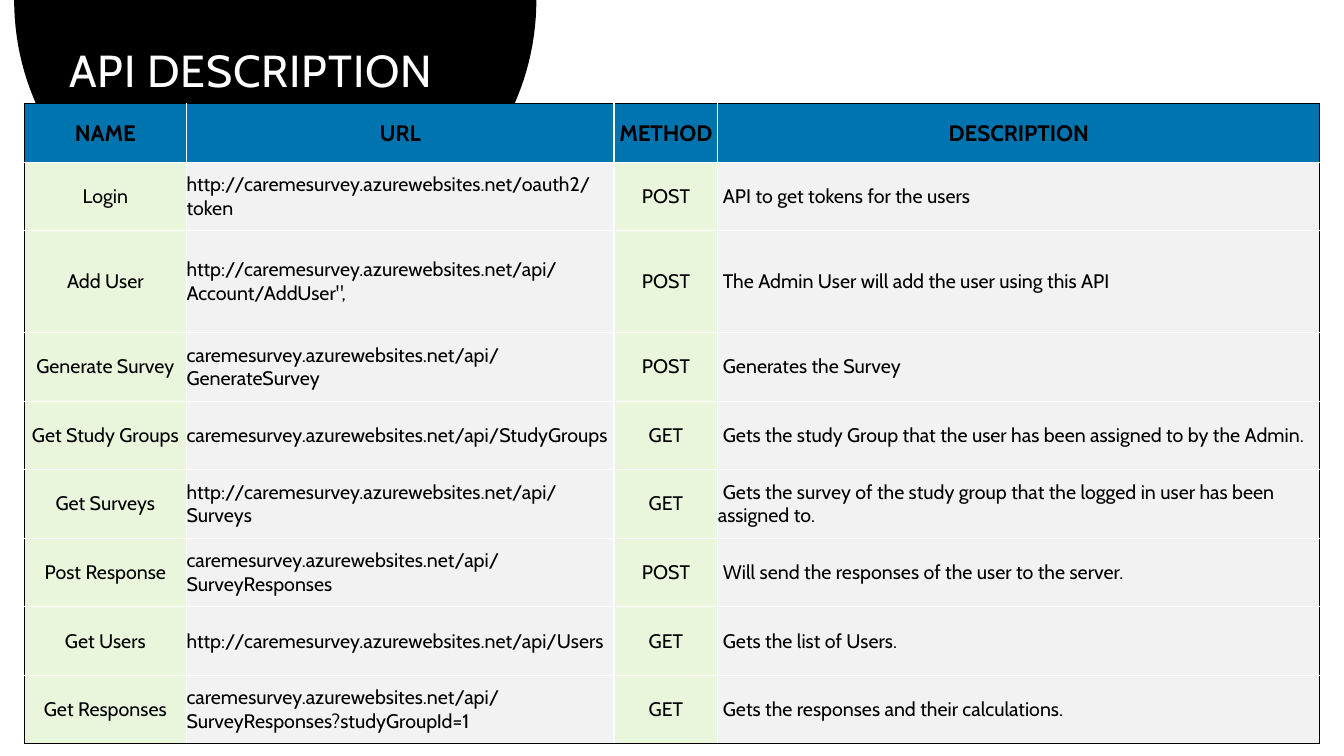
"""Build the API description slide with its endpoint table."""
from dataclasses import dataclass
from math import cos, pi, sin

from lxml.etree import SubElement
from pptx import Presentation
from pptx.dml.color import RGBColor
from pptx.enum.text import MSO_ANCHOR, PP_ALIGN
from pptx.oxml.ns import qn
from pptx.slide import Slide
from pptx.table import _Cell
from pptx.util import Inches, Pt


@dataclass(frozen=True)
class Theme:
    font: str = "Cabin"
    black: str = "000000"
    white: str = "FFFFFF"
    header: str = "0074AF"
    green: str = "E9F6DC"
    grey: str = "F2F2F2"
    title_size: int = 32
    header_size: int = 16
    body_size: int = 14
    border: int = 1


@dataclass(frozen=True)
class Endpoint:
    name: str
    url: str
    method: str
    description: str
    height: float = 0.68


@dataclass(frozen=True)
class Column:
    heading: str
    field: str
    width: float
    fill: str
    align: PP_ALIGN
    indent: float = 0


THEME = Theme()
HEADER_HEIGHT = 0.58
COLUMNS = [
    Column("NAME", "name", 1.61, THEME.green, PP_ALIGN.CENTER),
    Column("URL", "url", 4.24, THEME.grey, PP_ALIGN.LEFT),
    Column("METHOD", "method", 1.03, THEME.green, PP_ALIGN.CENTER),
    Column("DESCRIPTION", "description", 5.97, THEME.grey, PP_ALIGN.LEFT, 0.05),
]
ENDPOINTS = [
    Endpoint("Login", "http://caremesurvey.azurewebsites.net/oauth2/token", "POST",
             "API to get tokens for the users"),
    Endpoint("Add User", 'http://caremesurvey.azurewebsites.net/api/Account/AddUser",', "POST",
             "The Admin User will add the user using this API", 1.01),
    Endpoint("Generate Survey", "caremesurvey.azurewebsites.net/api/GenerateSurvey", "POST",
             "Generates the Survey"),
    Endpoint("Get Study Groups", "caremesurvey.azurewebsites.net/api/StudyGroups", "GET",
             "Gets the study Group that the user has been assigned to by the Admin."),
    Endpoint("Get Surveys", "http://caremesurvey.azurewebsites.net/api/Surveys", "GET",
             "Gets the survey of the study group that the logged in user has been assigned to."),
    Endpoint("Post Response", "caremesurvey.azurewebsites.net/api/SurveyResponses", "POST",
             "Will send the responses of the user to the server."),
    Endpoint("Get Users", "http://caremesurvey.azurewebsites.net/api/Users", "GET",
             "Gets the list of Users."),
    Endpoint("Get Responses",
             "caremesurvey.azurewebsites.net/api/SurveyResponses?studyGroupId=1", "GET",
             "Gets the responses and their calculations."),
]


def rgb(color: str) -> RGBColor:
    return RGBColor.from_string(color)


def add_half_disc(slide: Slide, center: float, rx: float, ry: float, steps: int = 90) -> None:
    points = [(Inches(center + rx * cos(pi * i / steps)), Inches(ry * sin(pi * i / steps)))
              for i in range(steps + 1)]
    builder = slide.shapes.build_freeform(*points[0])
    builder.add_line_segments(points[1:], close=True)
    sp = builder.convert_to_shape()
    sp.shadow.inherit = False
    sp.fill.solid()
    sp.fill.fore_color.rgb = rgb(THEME.black)
    sp.line.fill.background()


def set_borders(cell: _Cell, outer: dict[str, bool]) -> None:
    tc_pr = cell._tc.get_or_add_tcPr()
    for side, is_outer in outer.items():
        ln = SubElement(tc_pr, qn(f"a:ln{side}"), w=str(Pt(THEME.border)))
        fill = SubElement(ln, qn("a:solidFill"))
        SubElement(fill, qn("a:srgbClr"), val=THEME.black if is_outer else THEME.white)


def fill_cell(cell: _Cell, text: str, fill: str, align: PP_ALIGN, size: int,
              bold: bool, indent: float) -> None:
    cell.fill.solid()
    cell.fill.fore_color.rgb = rgb(fill)
    cell.margin_left = cell.margin_right = cell.margin_top = cell.margin_bottom = 0
    cell.vertical_anchor = MSO_ANCHOR.MIDDLE
    cell.text = text
    p = cell.text_frame.paragraphs[0]
    p.alignment = align
    if indent:
        p._p.get_or_add_pPr().set("indent", str(Inches(indent)))
    p.font.name, p.font.size, p.font.bold = THEME.font, Pt(size), bold
    p.font.color.rgb = rgb(THEME.black)


def add_endpoint_table(slide: Slide, left: float, top: float) -> None:
    heights = [HEADER_HEIGHT] + [e.height for e in ENDPOINTS]
    widths = [c.width for c in COLUMNS]
    table = slide.shapes.add_table(len(heights), len(widths), Inches(left), Inches(top),
                                   Inches(sum(widths)), Inches(sum(heights))).table
    table.first_row = table.horz_banding = False
    for col, width in zip(table.columns, widths):
        col.width = Inches(width)
    for i, height in enumerate(heights):
        table.rows[i].height = Inches(height)
        for j, column in enumerate(COLUMNS):
            cell = table.cell(i, j)
            set_borders(cell, {"L": j == 0, "R": j == len(widths) - 1,
                               "T": i == 0, "B": i == len(heights) - 1})
            if i == 0:
                fill_cell(cell, column.heading, THEME.header, PP_ALIGN.CENTER,
                          THEME.header_size, True, 0)
            else:
                fill_cell(cell, getattr(ENDPOINTS[i - 1], column.field), column.fill,
                          column.align, THEME.body_size, False, column.indent)


def set_title(slide: Slide, text: str) -> None:
    title = slide.shapes.title
    title.left, title.top = Inches(0.24), Inches(0)
    title.width, title.height = Inches(4.5), Inches(1.03)
    tf = title.text_frame
    tf.text = text
    tf.word_wrap = True
    tf.vertical_anchor = MSO_ANCHOR.MIDDLE
    tf.margin_left = tf.margin_right = Inches(0.16)
    tf.margin_top, tf.margin_bottom = Inches(0.46), Inches(0.05)
    p = tf.paragraphs[0]
    p.alignment = PP_ALIGN.CENTER
    p.line_spacing = 0.9
    p.font.name, p.font.size = THEME.font, Pt(THEME.title_size)
    p.font.color.rgb = rgb(THEME.white)
    p.runs[0]._r.get_or_add_rPr().set("spc", "60")
    title.element.getparent().append(title.element)


def main() -> None:
    prs = Presentation()
    prs.slide_width, prs.slide_height = Inches(13.33), Inches(7.5)
    slide = prs.slides.add_slide(prs.slide_layouts[5])
    add_half_disc(slide, center=2.73, rx=2.59, ry=2.57)
    add_endpoint_table(slide, left=0.24, top=1.03)
    set_title(slide, "API DESCRIPTION")
    prs.save("out.pptx")


if __name__ == "__main__":
    main()
